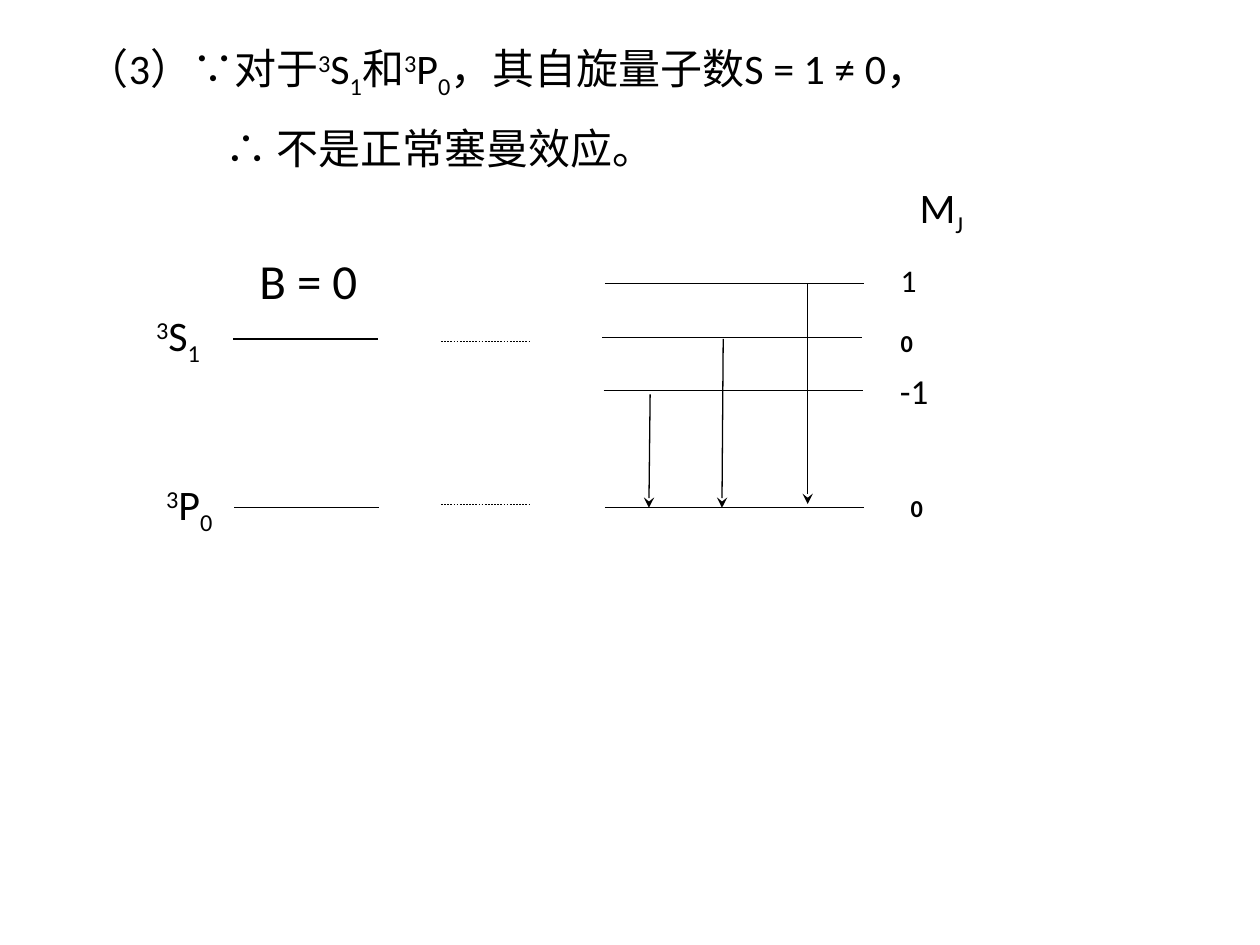
from dataclasses import dataclass

from lxml.etree import SubElement
from pptx import Presentation
from pptx.dml.color import RGBColor
from pptx.enum.dml import MSO_LINE
from pptx.enum.shapes import MSO_CONNECTOR
from pptx.oxml.ns import qn
from pptx.util import Inches, Pt

FONT = "Calibri"
INK = "000000"
SHIFTS = {"^": "30000", "_": "-25000"}


@dataclass
class Label:
    """A text box; runs that start with ^ or _ are raised or lowered."""
    runs: tuple[str, ...]
    left: float
    top: float
    width: float
    height: float = 0.5
    size: int = 24
    bold: bool = False
    wrap: bool = False


@dataclass
class Line:
    """A straight line between two points."""
    x1: float
    y1: float
    x2: float
    y2: float
    width: float = 0.75
    dash: bool = False
    arrow: bool = False


def paint(code: str) -> RGBColor:
    """Turn a hex string into a colour."""
    return RGBColor.from_string(code)


def add_text(slide, runs: tuple[str, ...], left: float, top: float,
             width: float, height: float, *, size: int = 24,
             bold: bool = False, wrap: bool = False) -> None:
    """Add a text box with raised and lowered runs."""
    box = slide.shapes.add_textbox(
        Inches(left), Inches(top), Inches(width), Inches(height))
    frame = box.text_frame
    frame.word_wrap = wrap
    para = frame.paragraphs[0]
    for part in runs:
        run = para.add_run()
        shift = SHIFTS.get(part[0])
        run.text = part[1:] if shift else part
        font = run.font
        font.name, font.size, font.bold = FONT, Pt(size), bold
        font.color.rgb = paint(INK)
        if shift:
            run._r.get_or_add_rPr().set("baseline", shift)


def add_line(slide, item: Line) -> None:
    """Draw a level or a transition arrow."""
    link = slide.shapes.add_connector(
        MSO_CONNECTOR.STRAIGHT, Inches(item.x1), Inches(item.y1),
        Inches(item.x2), Inches(item.y2))
    link.line.color.rgb = paint(INK)
    link.line.width = Pt(item.width)
    if item.dash:
        link.line.dash_style = MSO_LINE.DASH
    props = link._element.spPr
    if item.arrow:
        SubElement(props.find(qn("a:ln")), qn("a:tailEnd"), type="stealth")
    SubElement(props, qn("a:effectLst"))


def level(left: float, y: float, length: float, **style) -> Line:
    """Make a horizontal energy level."""
    return Line(left, y, left + length, y, **style)


def main() -> None:
    """Build the slide and save it."""
    deck = Presentation()
    deck.slide_width, deck.slide_height = Inches(10), Inches(7.5)
    slide = deck.slides.add_slide(deck.slide_layouts[6])

    base = 4.03
    split = [level(x, y, 2.06) for x, y in
             ((4.8, 2.25), (4.78, 2.68), (4.79, 3.1), (4.8, base))]
    plain = [level(1.85, 2.69, 1.15), level(1.86, base, 1.15)]
    guides = [level(3.5, y, 0.7, width=0.25, dash=True) for y in (2.71, 4)]
    jumps = [Line(*ends, arrow=True) for ends in
             ((6.41, 2.25, 6.41, 4), (5.74, 2.69, 5.73, base),
              (5.16, 3.13, 5.15, base))]
    for item in split + plain + guides + jumps:
        add_line(slide, item)

    labels = [
        Label(("\uff083\uff09\u2235对于", "^3", "S", "_1", "和",
               "^3", "P", "_0", "\uff0c其自旋量子数S = 1 ≠ 0\uff0c"),
              0.59, 0.29, 8.19, wrap=True),
        Label(("∴ 不是正常塞曼效应。",), 1.69, 0.92, 3.64),
        Label(("B = 0",), 1.96, 1.94, 0.99, 0.57, size=28),
        Label(("^3", "S", "_1"), 1.14, 2.41, 0.58),
        Label(("^3", "P", "_0"), 1.22, 3.75, 0.6),
        Label(("M", "_J"), 7.2, 1.39, 0.56),
        Label(("1",), 7.05, 2.02, 0.33, 0.4, size=18, wrap=True),
        Label(("_0",), 7.05, 2.33, 0.37, bold=True, wrap=True),
        Label((" -1",), 6.98, 2.88, 0.49, 0.44, size=20),
        Label(("_0",), 7.13, 3.64, 0.37, bold=True, wrap=True),
    ]
    for tag in labels:
        add_text(slide, tag.runs, tag.left, tag.top, tag.width, tag.height,
                 size=tag.size, bold=tag.bold, wrap=tag.wrap)

    deck.save("out.pptx")


main()
